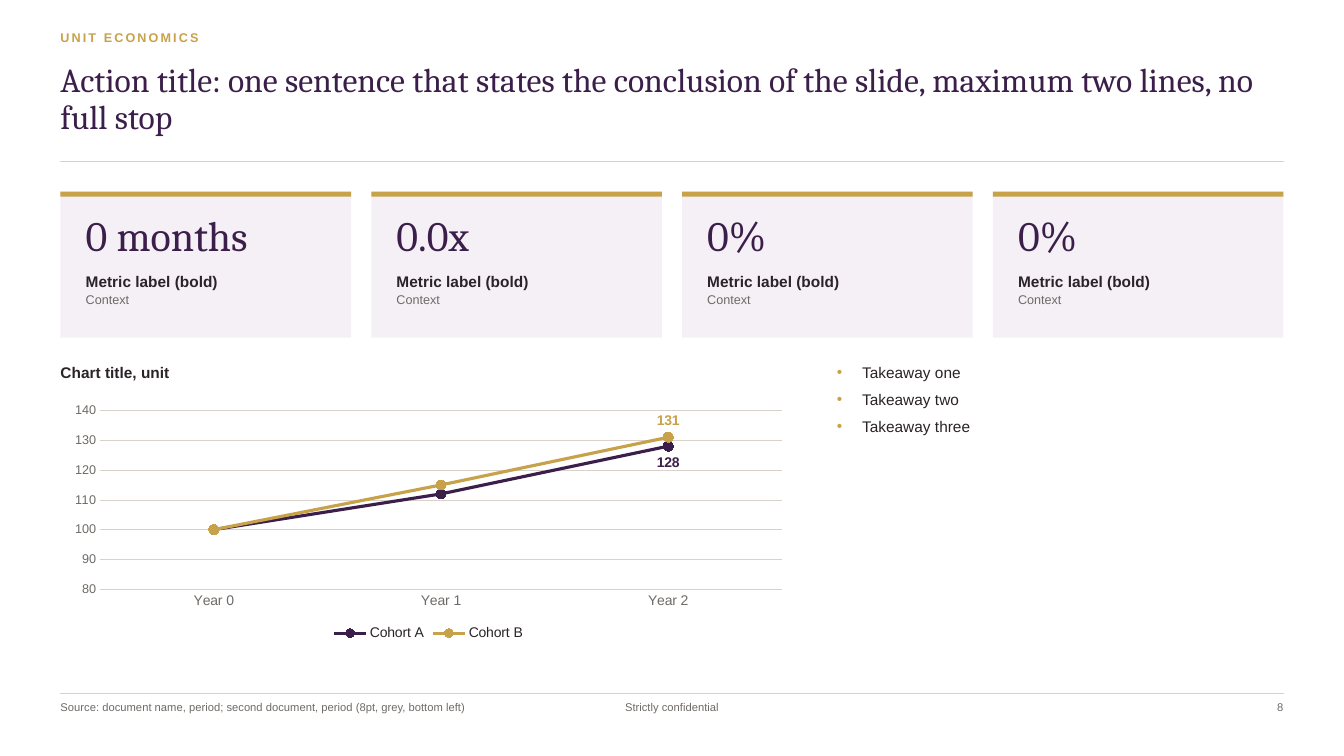
from lxml.etree import SubElement
from pptx import Presentation
from pptx.chart.data import CategoryChartData
from pptx.dml.color import RGBColor
from pptx.enum.chart import XL_CHART_TYPE, XL_LABEL_POSITION, XL_LEGEND_POSITION, XL_MARKER_STYLE, XL_TICK_MARK
from pptx.enum.shapes import MSO_CONNECTOR, MSO_SHAPE
from pptx.enum.text import MSO_ANCHOR, MSO_AUTO_SIZE, PP_ALIGN
from pptx.oxml.ns import qn
from pptx.util import Inches, Pt

PLUM = "3B1F4A"
GOLD = "C8A24A"
INK = "2A2328"
GREY = "6E6A66"
RULE = "D8D2CA"
PANEL = "F4F0F6"
LEFT = 0.6
WIDTH = 12.13


def color(value):
    return RGBColor.from_string(value)


def set_font(font, size, value, bold=False, name="Arial"):
    font.name = name
    font.size = Pt(size)
    font.bold = bold
    font.color.rgb = color(value)


def prepare_frame(shape, anchor=MSO_ANCHOR.TOP):
    frame = shape.text_frame
    frame.word_wrap = True
    frame.auto_size = MSO_AUTO_SIZE.NONE
    frame.vertical_anchor = anchor
    frame.margin_left = frame.margin_top = frame.margin_right = frame.margin_bottom = 0
    return frame


def add_span(para, text, size, value, bold=False, name="Arial"):
    span = para.add_run()
    span.text = text
    set_font(span.font, size, value, bold, name)
    return span


def add_text(page, left, top, width, height, text, size, value, bold=False,
             name="Arial", align=PP_ALIGN.LEFT, anchor=MSO_ANCHOR.TOP):
    box = page.shapes.add_textbox(Inches(left), Inches(top), Inches(width), Inches(height))
    frame = prepare_frame(box, anchor)
    para = frame.paragraphs[0]
    para.alignment = align
    return frame, add_span(para, text, size, value, bold, name)


def add_rule(page, left, top, width, weight):
    rule = page.shapes.add_connector(
        MSO_CONNECTOR.STRAIGHT, Inches(left), Inches(top), Inches(left + width), Inches(top))
    rule.line.color.rgb = color(RULE)
    rule.line.width = Pt(weight)
    SubElement(rule._element.spPr, qn("a:effectLst"))


def add_block(page, left, top, width, height, fill):
    block = page.shapes.add_shape(
        MSO_SHAPE.RECTANGLE, Inches(left), Inches(top), Inches(width), Inches(height))
    block.shadow.inherit = False
    block.fill.solid()
    block.fill.fore_color.rgb = color(fill)
    block.line.fill.background()


def place(shape, left, top, width, height):
    shape.left, shape.top = Inches(left), Inches(top)
    shape.width, shape.height = Inches(width), Inches(height)


def add_header(page, left, top, width):
    kicker = add_text(page, left, top, 7, 0.25, "UNIT ECONOMICS", 9, GOLD, True)[1]
    kicker.font._element.set("spc", "150")
    title = page.shapes.title
    place(title, left, top + 0.32, width, 0.9)
    para = prepare_frame(title).paragraphs[0]
    para.alignment = PP_ALIGN.LEFT
    para.line_spacing = 0.92
    add_span(para, "Action title: one sentence that states the conclusion of the slide, "
             "maximum two lines, no full stop", 24, PLUM, name="Cambria")
    add_rule(page, left, top + 1.3, width, 0.75)


def add_card(page, left, top, width, height, value):
    add_block(page, left, top, width, height, PANEL)
    add_block(page, left, top, width, 0.05, GOLD)
    inner = width - 0.5
    add_text(page, left + 0.25, top + 0.1, inner, 0.65, value, 30, PLUM,
             name="Cambria", anchor=MSO_ANCHOR.MIDDLE)
    frame = add_text(page, left + 0.25, top + 0.8, inner, 0.6,
                     "Metric label (bold)", 11, INK, True)[0]
    context = frame.add_paragraph()
    context.space_before = Pt(1)
    add_span(context, "Context", 9, GREY)


def add_cards(page, left, top, width, height, values, gap=0.2):
    card_width = (width - gap * (len(values) - 1)) / len(values)
    for index, value in enumerate(values):
        add_card(page, left + index * (card_width + gap), top, card_width, height, value)


def style_series(series, value, label_position):
    series.smooth = False
    series.format.line.color.rgb = color(value)
    series.format.line.width = Pt(2.25)
    marker = series.marker
    marker.style = XL_MARKER_STYLE.CIRCLE
    marker.size = 7
    marker.format.fill.solid()
    marker.format.fill.fore_color.rgb = color(value)
    marker.format.line.color.rgb = color(value)
    label = series.points[2].data_label
    set_font(label.font, 10, value, True)
    label.position = label_position


def add_cohort_chart(page, left, top, width, height):
    add_text(page, left, top, width, 0.3, "Chart title, unit", 11, INK, True)
    data = CategoryChartData(number_format="0")
    data.categories = ["Year 0", "Year 1", "Year 2"]
    data.add_series("Cohort A", [100, 112, 128])
    data.add_series("Cohort B", [100, 115, 131])
    chart = page.shapes.add_chart(
        XL_CHART_TYPE.LINE_MARKERS, Inches(left), Inches(top + 0.35),
        Inches(width), Inches(height - 0.35), data).chart
    set_font(chart.font, 10, INK)
    chart.has_title = False
    chart.has_legend = True
    chart.legend.position = XL_LEGEND_POSITION.BOTTOM
    chart.legend.include_in_layout = False
    set_font(chart.legend.font, 10, INK)
    for axis, size in ((chart.category_axis, 10), (chart.value_axis, 9)):
        axis.major_tick_mark = axis.minor_tick_mark = XL_TICK_MARK.NONE
        set_font(axis.tick_labels.font, size, GREY)
    chart.category_axis.format.line.color.rgb = color(RULE)
    chart.category_axis.format.line.width = Pt(0.75)
    values = chart.value_axis
    values.minimum_scale, values.maximum_scale, values.major_unit = 80, 140, 10
    values.format.line.fill.background()
    values.major_gridlines.format.line.color.rgb = color(RULE)
    values.major_gridlines.format.line.width = Pt(0.5)
    values.tick_labels.number_format = "0"
    values.tick_labels.number_format_is_linked = False
    plot = chart.plots[0]
    plot.vary_by_categories = False
    cohort_styles = ((PLUM, XL_LABEL_POSITION.BELOW), (GOLD, XL_LABEL_POSITION.ABOVE))
    for series, (value, label_position) in zip(plot.series, cohort_styles):
        style_series(series, value, label_position)


def add_bullet(para):
    properties = para._p.get_or_add_pPr()
    properties.set("marL", str(Inches(0.25)))
    properties.set("indent", str(-Inches(0.25)))
    bullet_color = SubElement(properties, qn("a:buClr"))
    SubElement(bullet_color, qn("a:srgbClr"), val=GOLD)
    SubElement(properties, qn("a:buFont"), typeface="Arial")
    SubElement(properties, qn("a:buChar"), char="•")


def add_takeaways(page, left, top, width, height, takeaways):
    body = page.placeholders[1]
    place(body, left, top, width, height)
    frame = prepare_frame(body)
    for index, takeaway in enumerate(takeaways):
        para = frame.add_paragraph() if index else frame.paragraphs[0]
        para.space_before = Pt(6 if index else 0)
        add_bullet(para)
        add_span(para, takeaway, 11, INK)


def add_footer(page, left, top, width):
    add_rule(page, left, top, width, 0.5)
    row = top + 0.07
    add_text(page, left, row, 5, 0.4, "Source: document name, period; second document, "
             "period (8pt, grey, bottom left)", 8, GREY)
    add_text(page, left + width / 2 - 1, row, 2, 0.25, "Strictly confidential", 8, GREY,
             align=PP_ALIGN.CENTER)
    add_text(page, left + width - 1, row, 1, 0.25, "8", 8, GREY, align=PP_ALIGN.RIGHT)


def main():
    deck = Presentation()
    deck.slide_width, deck.slide_height = Inches(13.33), Inches(7.5)
    page = deck.slides.add_slide(deck.slide_layouts[1])
    add_header(page, LEFT, 0.3, WIDTH)
    add_cards(page, LEFT, 1.9, WIDTH, 1.45, ["0 months", "0.0x", "0%", "0%"])
    add_cohort_chart(page, LEFT, 3.6, 7.3, 2.8)
    add_takeaways(page, 8.3, 3.6, 4.43, 2.8, ["Takeaway one", "Takeaway two", "Takeaway three"])
    add_footer(page, LEFT, 6.88, WIDTH)
    deck.save("out.pptx")


if __name__ == "__main__":
    main()
